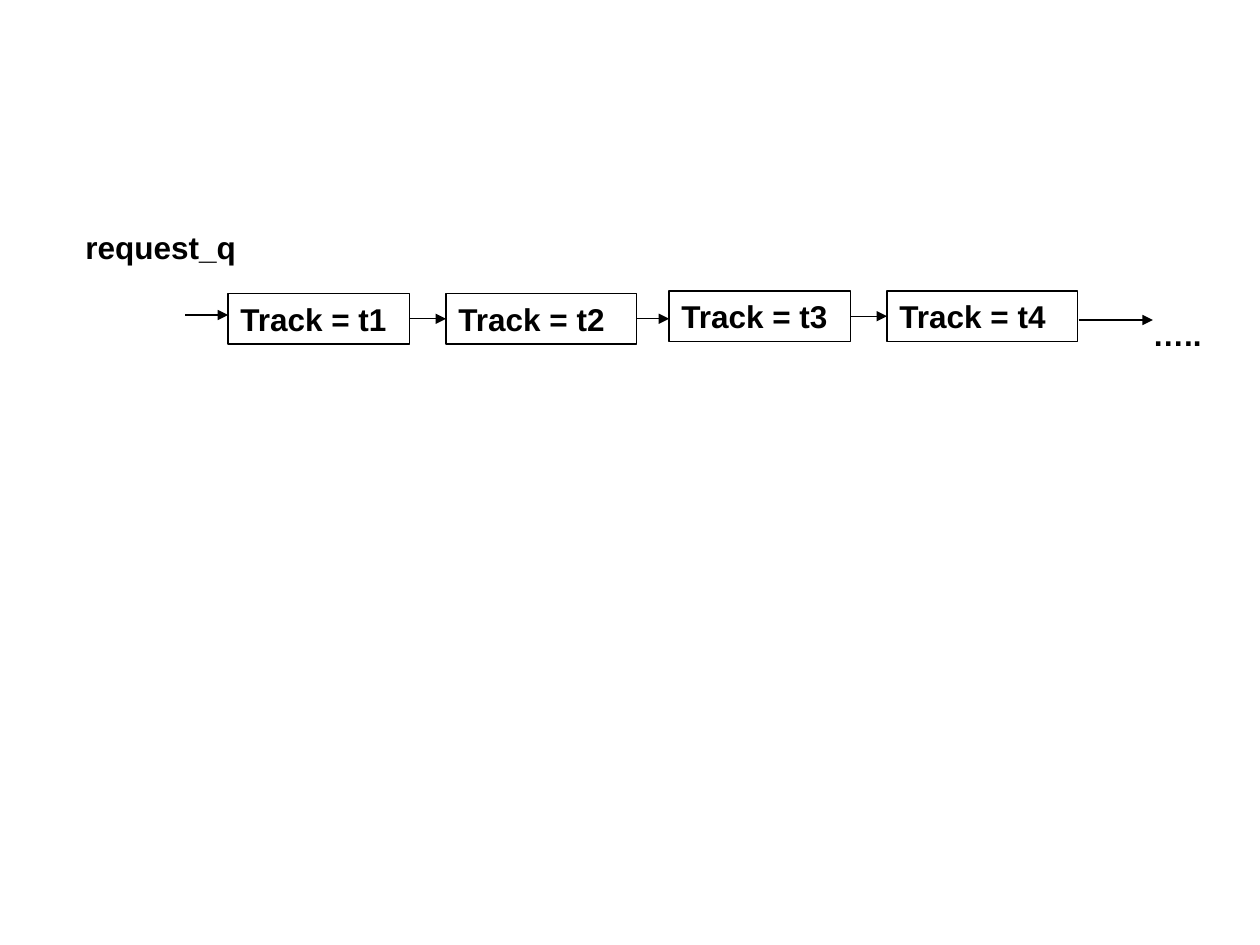
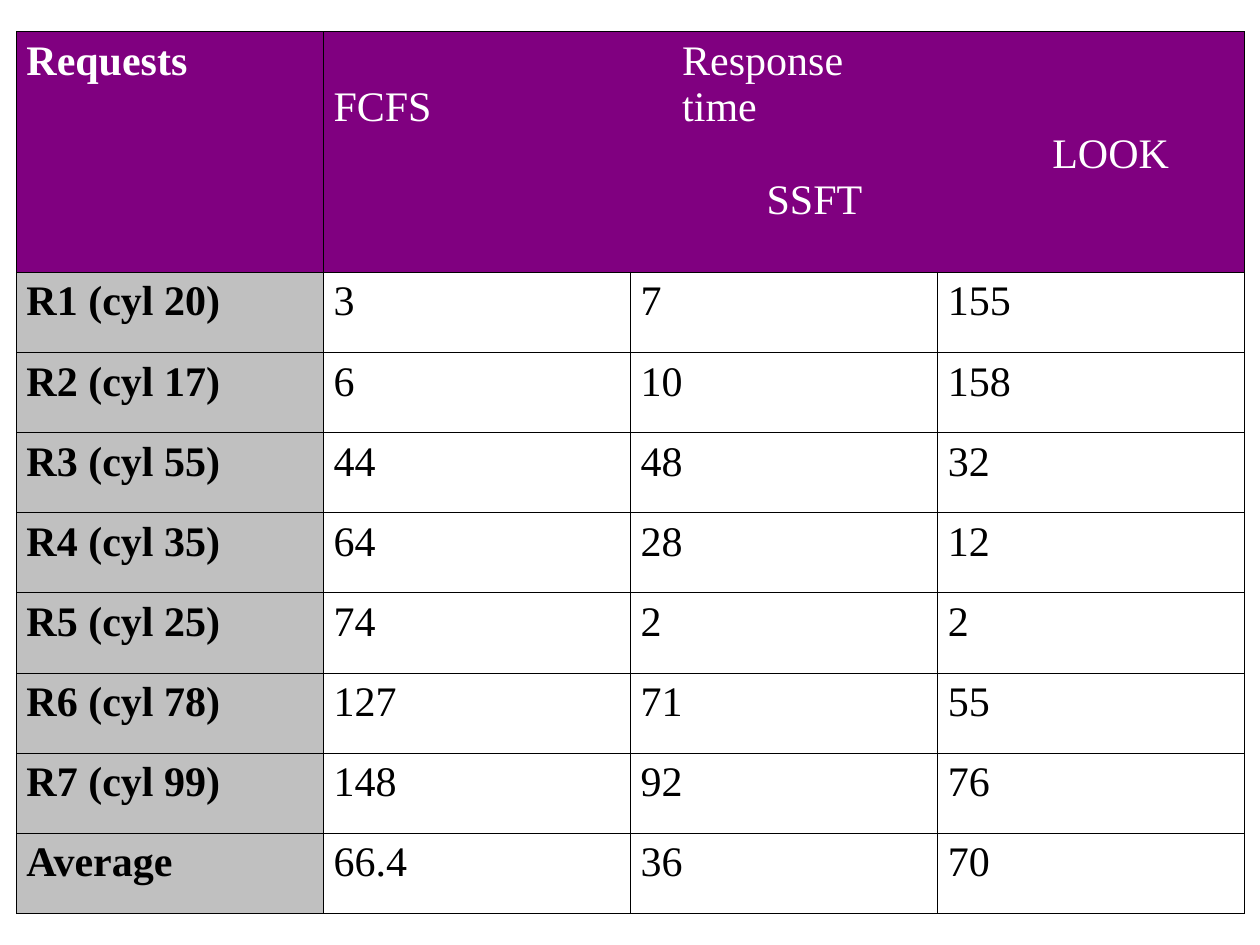
"""Build two slides on disk scheduling: the request queue and the response times."""
from lxml import etree
from pptx import Presentation
from pptx.dml.color import RGBColor
from pptx.enum.shapes import MSO_CONNECTOR, MSO_SHAPE
from pptx.enum.text import MSO_ANCHOR, MSO_AUTO_SIZE, PP_ALIGN
from pptx.oxml.ns import qn
from pptx.util import Inches, Pt

RECTANGLE = MSO_SHAPE.RECTANGLE
STRAIGHT = MSO_CONNECTOR.STRAIGHT
GROW = MSO_AUTO_SIZE.SHAPE_TO_FIT_TEXT
TOP = MSO_ANCHOR.TOP
LEFT = PP_ALIGN.LEFT
LEFT_SIDE, RIGHT_SIDE = 1, 3
BLANK_LAYOUT = 6

BLACK = RGBColor(0, 0, 0)
WHITE = RGBColor(255, 255, 255)
PURPLE = RGBColor(0x80, 0, 0x80)
SILVER = RGBColor(0xC0, 0xC0, 0xC0)

QUEUE_FONT = "Arial"
TABLE_FONT = "Times New Roman"
BOX_HEIGHT = 0.4
TRACKS = [
    ("Track = t1", 1.81, 2.33, 1.44),
    ("Track = t2", 3.54, 2.33, 1.51),
    ("Track = t3", 5.31, 2.31, 1.44),
    ("Track = t4", 7.04, 2.31, 1.51),
]

HEADER_HEIGHT = 1.91
HEADER_LINE = 0.37
CELL_TOP = 0.05
RESPONSE_TIMES = [
    ("R1 (cyl 20)", "3", "7", "155"),
    ("R2 (cyl 17)", "6", "10", "158"),
    ("R3 (cyl 55)", "44", "48", "32"),
    ("R4 (cyl 35)", "64", "28", "12"),
    ("R5 (cyl 25)", "74", "2", "2"),
    ("R6 (cyl 78)", "127", "71", "55"),
    ("R7 (cyl 99)", "148", "92", "76"),
    ("Average", "66.4", "36", "70"),
]


def style_paragraph(paragraph, font_name, size, color, bold):
    """Set the font of a left-aligned paragraph."""
    paragraph.alignment = LEFT
    font = paragraph.font
    font.name, font.size, font.bold = font_name, Pt(size), bold
    font.color.rgb = color


def write_label(shape, text, wrap=True):
    """Write a queue label into a box or text box."""
    frame = shape.text_frame
    frame.word_wrap = wrap
    frame.auto_size = GROW
    frame.vertical_anchor = TOP
    frame.text = text
    style_paragraph(frame.paragraphs[0], QUEUE_FONT, 18, BLACK, True)


def add_label(slide, text, left, top, width, wrap=True):
    """Add a text label without an outline."""
    label = slide.shapes.add_textbox(
        Inches(left), Inches(top), Inches(width), Inches(BOX_HEIGHT))
    write_label(label, text, wrap)


def add_track(slide, text, left, top, width):
    """Add the outlined box of one queued request."""
    track = slide.shapes.add_shape(
        RECTANGLE, Inches(left), Inches(top), Inches(width), Inches(BOX_HEIGHT))
    track.shadow.inherit = False
    track.fill.background()
    track.line.color.rgb = BLACK
    track.line.width = Pt(0.75)
    write_label(track, text)
    return track


def add_arrow(slide, start_x, end_x, y, source=None, target=None):
    """Add a level arrow, joined to the given tracks."""
    arrow = slide.shapes.add_connector(
        STRAIGHT, Inches(start_x), Inches(y), Inches(end_x), Inches(y))
    arrow.line.color.rgb = BLACK
    arrow.line.width = Pt(0.75)
    line = arrow.line._get_or_add_ln()
    etree.SubElement(line, qn("a:tailEnd"), type="triangle")
    etree.SubElement(arrow._element.spPr, qn("a:effectLst"))
    if source is not None:
        arrow.begin_connect(source, RIGHT_SIDE)
    if target is not None:
        arrow.end_connect(target, LEFT_SIDE)


def set_borders(cell, hidden=()):
    """Draw thin black cell borders except on the hidden sides."""
    properties = cell._tc.get_or_add_tcPr()
    for side in "LRTB":
        border = etree.SubElement(properties, qn(f"a:ln{side}"), w=str(Pt(0.45)))
        if side in hidden:
            etree.SubElement(border, qn("a:noFill"))
        else:
            fill = etree.SubElement(border, qn("a:solidFill"))
            etree.SubElement(fill, qn("a:srgbClr"), val=str(BLACK))


def fill_cell(cell, text, color=BLACK, bold=False, background=None, hidden=()):
    """Write and format one table cell."""
    set_borders(cell, hidden)
    if background is None:
        cell.fill.background()
    else:
        cell.fill.solid()
        cell.fill.fore_color.rgb = background
    cell.margin_left = cell.margin_right = Inches(0.08)
    cell.margin_top = cell.margin_bottom = Inches(CELL_TOP)
    cell.vertical_anchor = TOP
    cell.text = text
    for paragraph in cell.text_frame.paragraphs:
        style_paragraph(paragraph, TABLE_FONT, 24, color, bold)


def indent(paragraph, inches):
    """Indent a paragraph from the left."""
    properties = paragraph._p.get_or_add_pPr()
    properties.set("marL", str(Inches(inches)))
    properties.set("indent", "0")


def fill_header(cells):
    """Fill the header row, whose headings stand on three levels."""
    headings = [
        ("Requests", 0, [0], ""),
        ("FCFS", 1, [0], "R"),
        ("Response time\nSSFT", 0, [0.33, 1], "LR"),
        ("LOOK", 2, [0.83], "L"),
    ]
    for cell, (text, level, indents, hidden) in zip(cells, headings):
        fill_cell(cell, text, WHITE, text == "Requests", PURPLE, hidden)
        cell.margin_top = Inches(CELL_TOP + level * HEADER_LINE)
        paragraphs = cell.text_frame.paragraphs
        for paragraph, inches in zip(paragraphs, indents):
            indent(paragraph, inches)
        for paragraph in paragraphs[1:]:
            paragraph.space_before = Inches(HEADER_LINE)


def build_queue_slide(slide):
    """Draw the queue of track requests."""
    add_label(slide, "request_q", 0.58, 1.76, 1.79)
    t1, t2, t3, t4 = [add_track(slide, *track) for track in TRACKS]
    add_arrow(slide, 1.47, 1.81, 2.5)
    add_arrow(slide, 3.25, 3.54, 2.53, t1, t2)
    add_arrow(slide, 5.05, 5.31, 2.53, t2)
    add_arrow(slide, 6.75, 7.04, 2.51, t3, t4)
    add_arrow(slide, 8.56, 9.15, 2.54)
    add_label(slide, "…..", 9.05, 2.45, 0.59, wrap=False)


def build_response_slide(slide):
    """Draw the table of response times."""
    row_count = len(RESPONSE_TIMES)
    table = slide.shapes.add_table(
        row_count + 1, 4, Inches(0.13), Inches(0.25), Inches(9.75), Inches(7)).table
    table.first_row = table.horz_banding = False
    table.rows[0].height = Inches(HEADER_HEIGHT)
    fill_header(table.rows[0].cells)
    for row, (request, *times) in enumerate(RESPONSE_TIMES, start=1):
        table.rows[row].height = Inches((7 - HEADER_HEIGHT) / row_count)
        fill_cell(table.cell(row, 0), request, bold=True, background=SILVER)
        for column, time in enumerate(times, start=1):
            fill_cell(table.cell(row, column), time)


def main():
    """Build and save the presentation."""
    presentation = Presentation()
    presentation.slide_width = Inches(10)
    presentation.slide_height = Inches(7.5)
    layout = presentation.slide_layouts[BLANK_LAYOUT]
    for build in (build_queue_slide, build_response_slide):
        build(presentation.slides.add_slide(layout))
    presentation.save("out.pptx")


if __name__ == "__main__":
    main()
